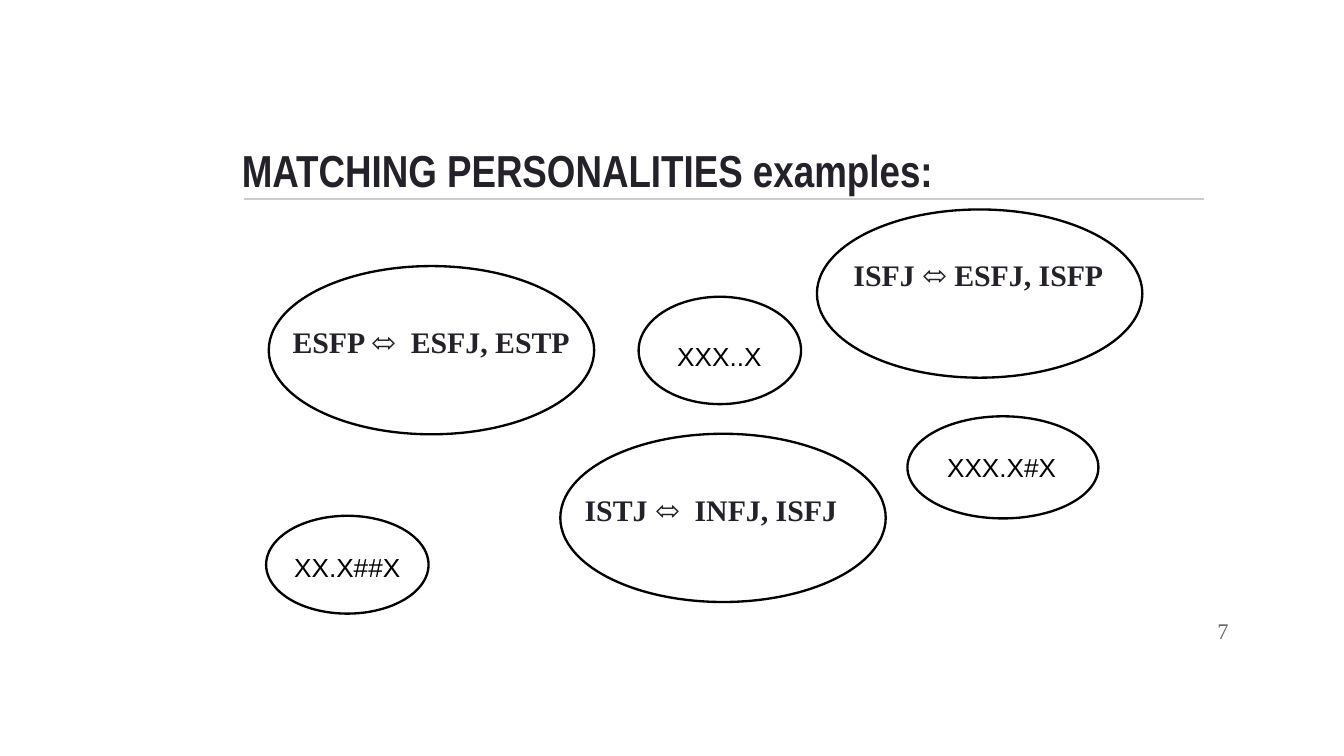
from lxml.etree import SubElement
from pptx import Presentation
from pptx.dml.color import RGBColor
from pptx.enum.shapes import MSO_CONNECTOR, MSO_SHAPE
from pptx.enum.text import MSO_ANCHOR, PP_ALIGN
from pptx.oxml.ns import qn
from pptx.util import Cm, Pt

SLIDE_SIZE = (25.4, 14.29)
RULE = (4.62, 3.76, 22.76, 3.76)
TITLE = ("MATCHING PERSONALITIES examples:", (4.32, 2.01, 18.39, 1.96))
PAGE_NUMBER = ("7", (21.95, 11.38, 1.52, 1.09))

PAIR_OVAL_SIZE = (6.15, 3.18)
PAIR_TEXT_WIDTH = 5.92
PAIRS = [
    ("ESFP ⬄  ESFJ, ESTP", (5.08, 5.03), (5.28, 5.87), 1.9),
    ("ISTJ ⬄  INFJ, ISFJ", (10.59, 8.2), (10.8, 9.04), 2.11),
    ("ISFJ ⬄ ESFJ, ISFP", (15.44, 3.96), (15.88, 4.6), 1.93),
]
CODES = [
    ("XX.X##X", (5.03, 9.75, 3.07, 1.85), (5.31, 10.29, 2.51, 0.86)),
    ("XXX.X#X", (17.15, 7.87, 3.61, 1.93), (17.65, 8.41, 2.59, 0.86)),
    ("XXX..X", (12.07, 5.61, 3.07, 2.03), (12.55, 6.3, 2.13, 0.86)),
]

TITLE_FONT = {"name": "Arial Narrow", "size": Pt(24), "bold": True}
PAIR_FONT = {"name": "Times New Roman", "size": Pt(16), "bold": True}
CODE_FONT = {"name": "Arial", "size": Pt(14)}
NUMBER_FONT = {"name": "Times New Roman", "size": Pt(12)}
INK, BLACK, GREY, PALE = "25212A", "000000", "666666", "CCCCCC"


def paint(color_format, color):
    color_format.rgb = RGBColor.from_string(color)


def set_all(target, values):
    for name, value in values.items():
        setattr(target, name, value)


def add_text(page, text, area, font, color, frame=None, paragraph=None, inset=0.25):
    box = page.shapes.add_textbox(*map(Cm, area))
    margins = {
        "margin_left": Cm(0.25),
        "margin_right": Cm(0.25),
        "margin_top": Cm(inset),
        "margin_bottom": Cm(inset),
    }
    set_all(box.text_frame, {"word_wrap": True, **margins, **(frame or {})})
    para = box.text_frame.paragraphs[0]
    set_all(para, paragraph or {})
    span = para.add_run()
    span.text = text
    set_all(span.font, font)
    paint(span.font.color, color)


def add_oval(page, area):
    oval = page.shapes.add_shape(MSO_SHAPE.OVAL, *map(Cm, area))
    oval.shadow.inherit = False
    oval.fill.background()
    oval.line.width = Pt(1.25)
    paint(oval.line.color, BLACK)


def add_rule(page, ends):
    rule = page.shapes.add_connector(MSO_CONNECTOR.STRAIGHT, *map(Cm, ends))
    rule.line.width = Pt(0.75)
    paint(rule.line.color, PALE)
    SubElement(rule._element.spPr, qn("a:effectLst"))


def main():
    deck = Presentation()
    deck.slide_width, deck.slide_height = map(Cm, SLIDE_SIZE)
    page = deck.slides.add_slide(deck.slide_layouts[6])

    add_rule(page, RULE)
    add_text(page, *TITLE, TITLE_FONT, INK, {"vertical_anchor": MSO_ANCHOR.BOTTOM})
    for text, oval_corner, text_corner, height in PAIRS:
        add_oval(page, oval_corner + PAIR_OVAL_SIZE)
        area = text_corner + (PAIR_TEXT_WIDTH, height)
        add_text(page, text, area, PAIR_FONT, INK, paragraph={"space_before": Pt(6)})
    for text, oval_area, text_area in CODES:
        add_oval(page, oval_area)
        add_text(page, text, text_area, CODE_FONT, BLACK, {"word_wrap": False}, inset=0.13)
    add_text(page, *PAGE_NUMBER, NUMBER_FONT, GREY,
             {"vertical_anchor": MSO_ANCHOR.MIDDLE}, {"alignment": PP_ALIGN.RIGHT})

    deck.save("out.pptx")


if __name__ == "__main__":
    main()
